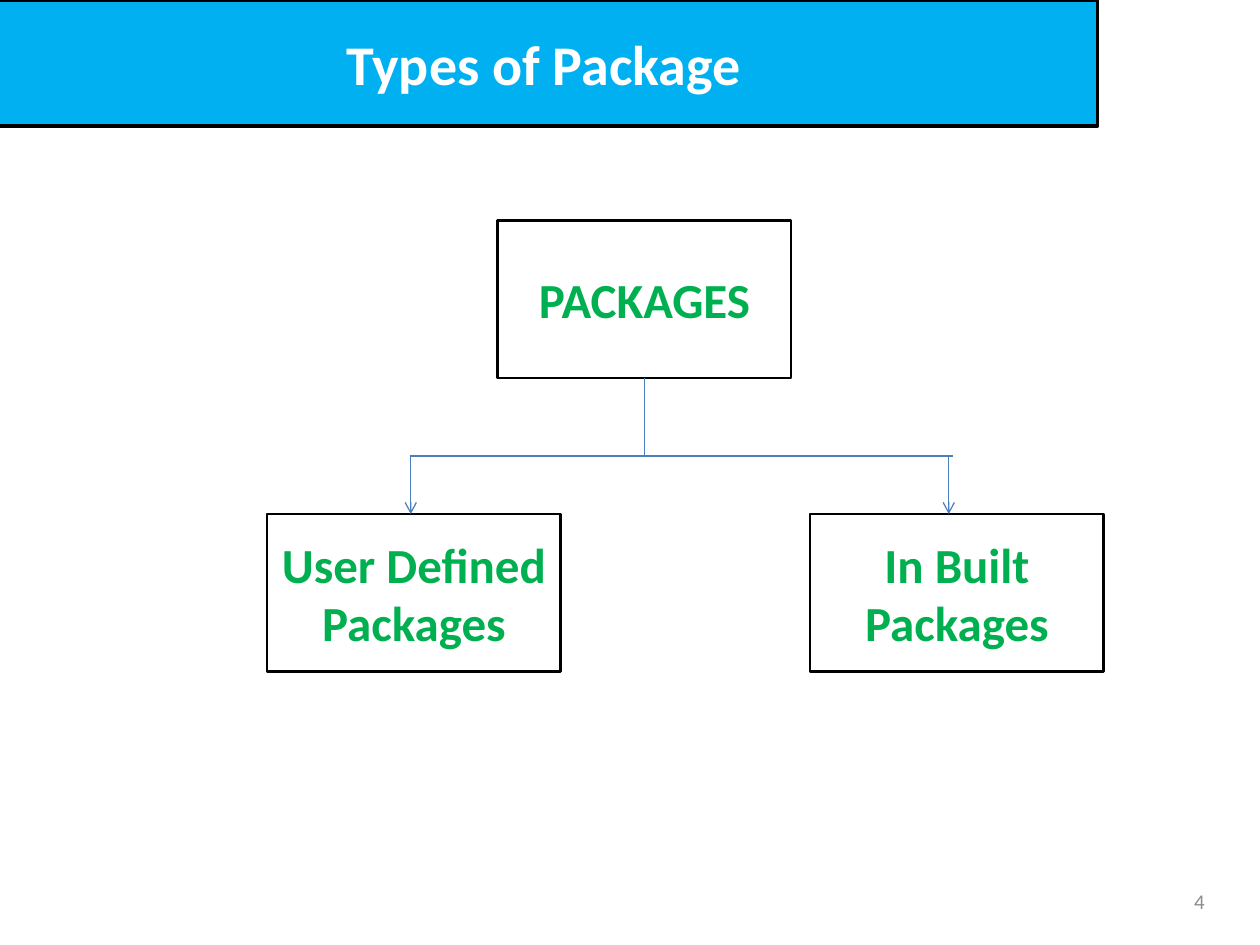
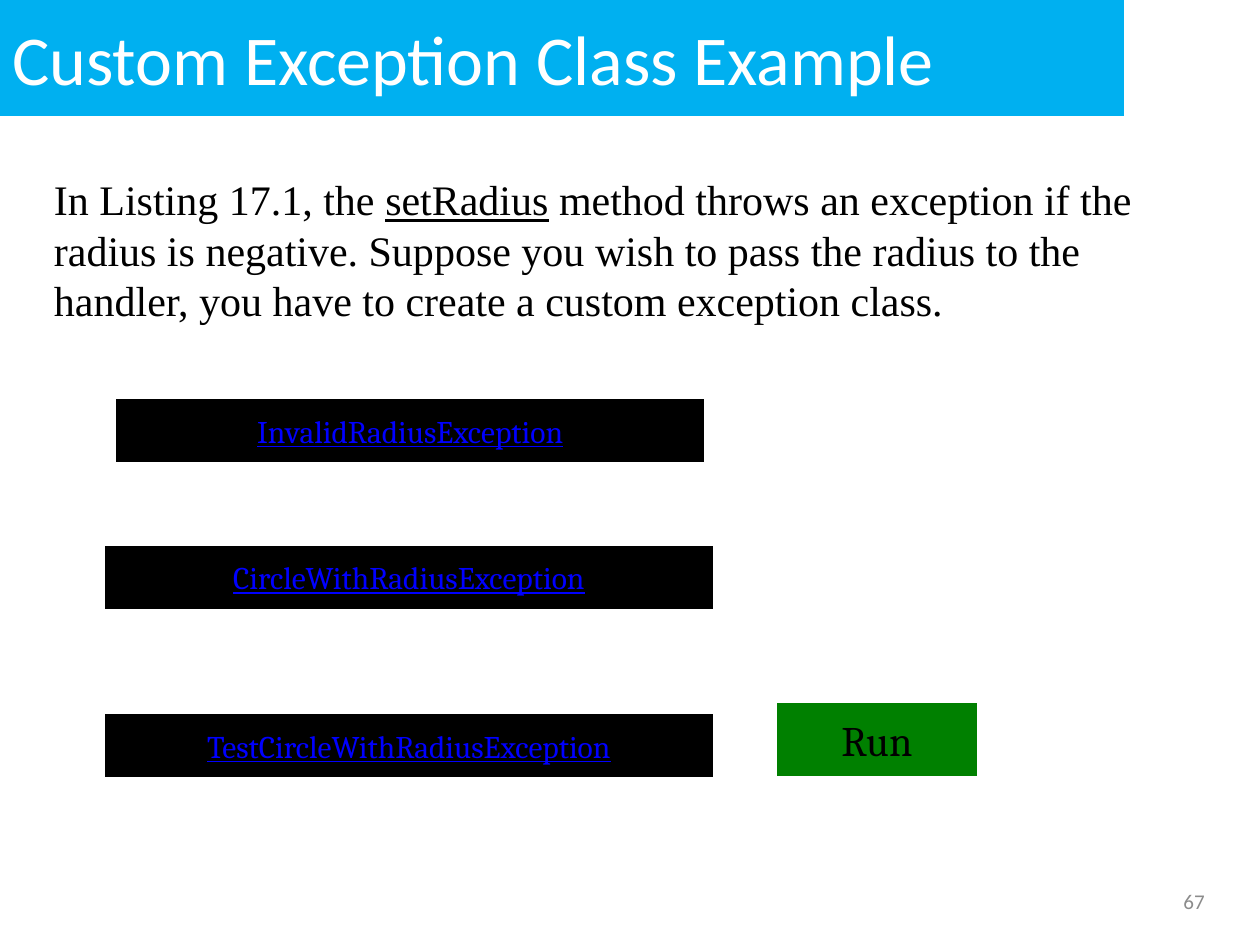
from pptx import Presentation
from pptx import util as u
from pptx.dml.color import RGBColor
from pptx.enum import shapes, text
from lxml import etree

HUES = {
    "band": "00B0F0", "white": "FFFFFF", "black": "000000", "leaf": "00B050",
    "wire": "4B7EBC", "grey": "8C8C8C", "run": "008000", "blue": "0000FF",
}
RECT = shapes.MSO_SHAPE.RECTANGLE
BUTTON = shapes.MSO_SHAPE.ACTION_BUTTON_CUSTOM
LEFT, MID, RIGHT = text.PP_ALIGN.LEFT, text.PP_ALIGN.CENTER, text.PP_ALIGN.RIGHT
NS = "{http://schemas.openxmlformats.org/drawingml/2006/main}"


def put(slide, kind, box, runs, face, size, hue, fill=None, edge=0,
        align=MID, bold=None, under=None, wrap=True):
    """Add a shape, or a text box when kind is None, with one paragraph."""
    place = [u.Inches(n) for n in box]
    if kind is None:
        item = slide.shapes.add_textbox(*place)
    else:
        item = slide.shapes.add_shape(kind, *place)
        item.shadow.inherit = False
        item.fill.solid()
        item.fill.fore_color.rgb = RGBColor.from_string(HUES[fill])
        if edge:
            item.line.color.rgb = RGBColor.from_string(HUES["black"])
            item.line.width = u.Pt(edge)
        else:
            item.line.fill.background()
    frame = item.text_frame
    frame.word_wrap = wrap
    frame.vertical_anchor = text.MSO_ANCHOR.MIDDLE
    para = frame.paragraphs[0]
    para.alignment = align
    for words in runs:
        para.add_run().text = words
    font = para.font
    font.name, font.size, font.bold, font.underline = face, u.Pt(size), bold, under
    font.color.rgb = RGBColor.from_string(HUES[hue])
    return item


def wire(slide, start, end, arrow=False):
    """Add a thin straight line, with an open arrowhead if asked."""
    link = slide.shapes.add_connector(
        shapes.MSO_CONNECTOR.STRAIGHT, *[u.Inches(n) for n in start + end])
    link.line.color.rgb = RGBColor.from_string(HUES["wire"])
    link.line.width = u.Pt(0.75)
    if arrow:
        etree.SubElement(link.line._get_or_add_ln(), NS + "tailEnd", type="arrow")
    etree.SubElement(link._element.spPr, NS + "effectLst")
    return link


deck = Presentation()
deck.slide_width, deck.slide_height = u.Inches(10), u.Inches(7.5)
tree, demo = [deck.slides.add_slide(deck.slide_layouts[6]) for _ in range(2)]

# Title bands
put(tree, RECT, (-0.08, 0, 8.79, 1), ["Types of Package"], "Calibri", 32,
    "white", "band", 2, bold=True)
put(demo, RECT, (0, 0, 8.92, 0.92), ["Custom Exception Class Example"],
    "Calibri", 40, "white", "band", align=LEFT)

# Package tree: boxes
nodes = [put(tree, RECT, (x, y, 2.33, 1.25), [name], "Calibri", 28, "leaf",
             "white", 1.5, bold=True)
         for x, y, name in ((3.95, 1.75, "PACKAGES"),
                            (2.12, 4.08, "User Defined Packages"),
                            (6.43, 4.08, "In Built Packages"))]

# Package tree: trunk, bar and arrows
bar = 3.62
trunk = wire(tree, (5.12, 3), (5.12, bar))
trunk.begin_connect(nodes[0], 2)
trunk.end_x = trunk.begin_x
wire(tree, (3.25, bar), (7.56, bar))
for x in (3.26, 7.53):
    wire(tree, (x, bar), (x, 4.08), arrow=True)

# Exception example: body text
body = put(demo, None, (0.33, 1.33, 9.42, 1.3),
           ["In Listing 17.1, the ", "setRadius",
            " method throws an exception if the radius is negative. Suppose you "
            "wish to pass the radius to the handler, you have to create a custom "
            "exception class."],
           "Times New Roman", 24, "black", align=LEFT)
body.text_frame.vertical_anchor = text.MSO_ANCHOR.TOP
body.text_frame.paragraphs[0].runs[1].font.underline = True

# Exception example: buttons
for x, y, wide, name in ((0.92, 3.17, 4.67, "InvalidRadiusException"),
                         (0.83, 4.33, 4.83, "CircleWithRadiusException"),
                         (0.83, 5.67, 4.83, "TestCircleWithRadiusException")):
    put(demo, BUTTON, (x, y, wide, 0.5), [name], "Cambria", 18, "blue",
        "black", under=True, wrap=False)
put(demo, BUTTON, (6.17, 5.58, 1.58, 0.58), ["Run"], "Cambria", 24, "black",
    "run", wrap=False)

# Page numbers
for slide, page in ((tree, "4"), (demo, "67")):
    put(slide, None, (7.33, 6.95, 2.33, 0.4), [page], "Calibri", 12, "grey",
        align=RIGHT)

deck.save("out.pptx")
